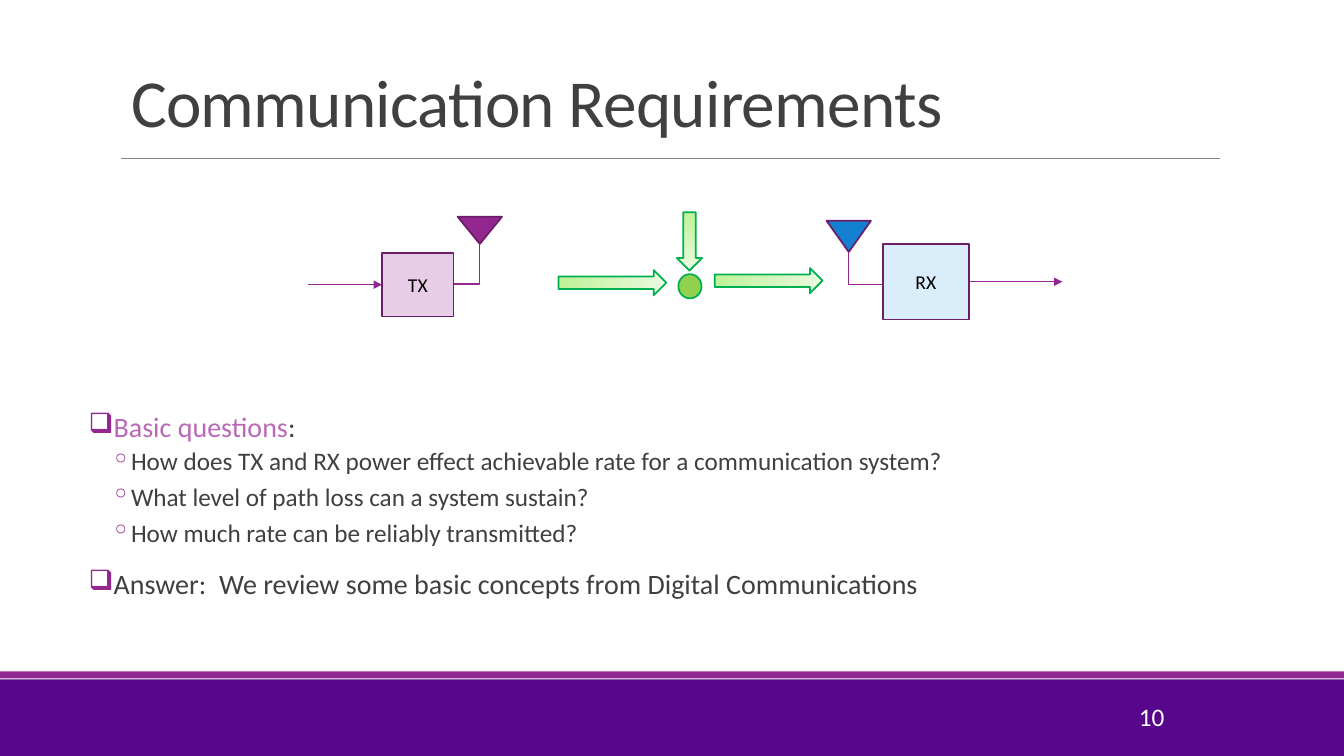
from lxml.etree import SubElement
from pptx import Presentation
from pptx.dml.color import RGBColor
from pptx.enum.shapes import MSO_CONNECTOR, MSO_SHAPE
from pptx.enum.text import MSO_ANCHOR, MSO_AUTO_SIZE, PP_ALIGN
from pptx.oxml.ns import qn
from pptx.util import Inches, Pt

COLS, ROWS = 133.33, 75
PURPLE, PLUM, GREEN, GRAY = "92278F", "6C1D6A", "00B050", "404040"


def rgb(value):
    return RGBColor.from_string(value)


def grid(*cells):
    return [Inches(cell / 10) for cell in cells]


def within(box, col, row, width, height):
    return box[0] + col, box[1] + row, width, height


def add_text(p, text, size=18, color=GRAY, spacing=None):
    r = p.add_run()
    r.text = text
    r.font.name = "Calibri"
    r.font.size = Pt(size)
    r.font.color.rgb = rgb(color)
    if spacing is not None:
        r._r.get_or_add_rPr().set("spc", str(spacing))


def set_frame(tf, anchor, margins=(0.1, 0.05)):
    tf.word_wrap = True
    tf.auto_size = MSO_AUTO_SIZE.NONE
    tf.vertical_anchor = anchor
    tf.margin_left = tf.margin_right = Inches(margins[0])
    tf.margin_top = tf.margin_bottom = Inches(margins[1])


def add_block(s, kind, box, fill, line=None, rotation=0):
    sp = s.shapes.add_shape(kind, *grid(*box))
    sp.shadow.inherit = False
    sp.rotation = rotation
    if isinstance(fill, tuple):
        sp.fill.gradient()
        sp.fill.gradient_angle = 0
        for stop, color in zip(sp.fill.gradient_stops, fill):
            stop.color.rgb = rgb(color)
    else:
        sp.fill.solid()
        sp.fill.fore_color.rgb = rgb(fill)
    if line:
        sp.line.color.rgb = rgb(line)
        sp.line.width = Pt(1.25)
    else:
        sp.line.fill.background()
    return sp


def add_line(s, start, end, color=PURPLE, width=1, arrow=False, elbow=False):
    kind = MSO_CONNECTOR.ELBOW if elbow else MSO_CONNECTOR.STRAIGHT
    line = s.shapes.add_connector(kind, *grid(*start, *end))
    line.line.color.rgb = rgb(color)
    line.line.width = Pt(width)
    if arrow:
        SubElement(line.line._get_or_add_ln(), qn("a:tailEnd"), type="triangle")
    spPr = line._element.spPr
    SubElement(spPr, qn("a:effectLst"))
    if elbow:
        spPr.find(qn("a:prstGeom")).set("prst", "bentConnector2")
    return line


def add_footer(s, box):
    x, y, w, h = box
    add_block(s, MSO_SHAPE.RECTANGLE, (x, y + 0.8, w, h - 0.8), "57068C")
    add_block(s, MSO_SHAPE.RECTANGLE, (x, y, w, 0.7), PURPLE)
    number = s.shapes.add_textbox(*grid(*within(box, 102.2, 2.5, 14.3, 4)))
    set_frame(number.text_frame, MSO_ANCHOR.MIDDLE)
    p = number.text_frame.paragraphs[0]
    p.alignment = PP_ALIGN.RIGHT
    add_text(p, "10", color="FFFFFF")


def add_title(s, box):
    x, y, w, h = box
    title = s.shapes.title
    title.left, title.top, title.width, title.height = grid(*box)
    set_frame(title.text_frame, MSO_ANCHOR.BOTTOM)
    p = title.text_frame.paragraphs[0]
    p.alignment = PP_ALIGN.LEFT
    p.line_spacing = 0.85
    add_text(p, "Communication Requirements", size=48, spacing=-50)
    rule = y + h + 1.2
    add_line(s, (x, rule), (x + w - 1, rule), color="808080", width=0.5)


def add_radio(s, box, label, fill, antenna, antenna_fill, feed_row):
    radio = add_block(s, MSO_SHAPE.RECTANGLE, box, fill, PLUM)
    set_frame(radio.text_frame, MSO_ANCHOR.MIDDLE, (0, 0))
    p = radio.text_frame.paragraphs[0]
    p.alignment = PP_ALIGN.CENTER
    add_text(p, label, size=14, color="000000")
    add_block(s, MSO_SHAPE.ISOSCELES_TRIANGLE, antenna, antenna_fill, PLUM, 180)
    x, y, w, h = antenna
    side = box[0] + box[2] if x > box[0] else box[0]
    add_line(s, (side, feed_row), (x + w / 2, y + h), elbow=True)
    return radio


def add_link(s, box):
    x, y, w, h = box
    tx_box = within(box, 7.3, 3.6, 7.1, 6.3)
    rx_box = within(box, 57, 2.7, 8.5, 7.5)
    feed_row = y + 6.7
    tx = add_radio(s, tx_box, "TX", "E8CDE7",
                   within(box, 14.8, 0, 4.4, 2.7), PURPLE, feed_row)
    rx = add_radio(s, rx_box, "RX", "DAEDFB",
                   within(box, 51.4, 0.4, 4.4, 3.1), "1480D1", feed_row)
    tx_row, rx_row = (b[1] + b[3] / 2 for b in (tx_box, rx_box))
    source = add_line(s, (x, tx_row), (tx_box[0], tx_row), arrow=True)
    source.end_connect(tx, 1)
    sink = add_line(s, (rx_box[0] + rx_box[2], rx_row), (x + w, rx_row), arrow=True)
    sink.begin_connect(rx, 3)
    for col, row, length, turn in ((24.8, 5.3, 10.7, 0), (34.9, 1.2, 5.8, 90),
                                   (40.3, 5.1, 10.7, 0)):
        add_block(s, MSO_SHAPE.RIGHT_ARROW, within(box, col, row, length, 2.5),
                  ("BEF297", "EAFAE0"), GREEN, turn)
    add_block(s, MSO_SHAPE.OVAL, within(box, 36.7, 5.7, 2.3, 2.4), "92D050", GREEN)


def add_bullet(p, char, left, hang, before, after):
    p.line_spacing = 0.9
    p.space_before, p.space_after = Pt(before), Pt(after)
    pPr = p._p.get_or_add_pPr()
    pPr.set("marL", str(Inches(left)))
    pPr.set("indent", str(-Inches(hang)))
    SubElement(SubElement(pPr, qn("a:buClr")), qn("a:srgbClr"), val=PURPLE)
    SubElement(pPr, qn("a:buChar"), char=char)


def add_questions(s, box):
    points = [
        (0, [("Basic questions", "BA69B8"), (":", GRAY)]),
        (1, [("How does TX and RX power effect achievable rate for a communication system?", GRAY)]),
        (1, [("What level of path loss can a system sustain?", GRAY)]),
        (1, [("How much rate can be reliably transmitted?", GRAY)]),
        (0, [("Answer:  We review some basic concepts from Digital Communications", GRAY)]),
    ]
    tf = s.shapes.add_textbox(*grid(*box)).text_frame
    set_frame(tf, MSO_ANCHOR.TOP, (0, 0.05))
    for i, (level, parts) in enumerate(points):
        p = tf.add_paragraph() if i else tf.paragraphs[0]
        p.level = level
        if level:
            add_bullet(p, "◦", 0.42, 0.2, 2, 4)
        else:
            add_bullet(p, "❑", 0.1, 0.1, 12 if i else 0, 2)
        for text, color in parts:
            add_text(p, text, size=18 if level else 20, color=color)


def main():
    prs = Presentation()
    prs.slide_width, prs.slide_height = grid(COLS, ROWS)
    s = prs.slides.add_slide(prs.slide_layouts[5])
    add_footer(s, (0, 66.6, COLS, 8.4))
    add_title(s, (12, 3.1, 110, 11.4))
    add_link(s, (30.6, 21.5, 74.8, 10.2))
    add_questions(s, (8.8, 40.5, 110, 23.3))
    prs.save("out.pptx")


if __name__ == "__main__":
    main()
